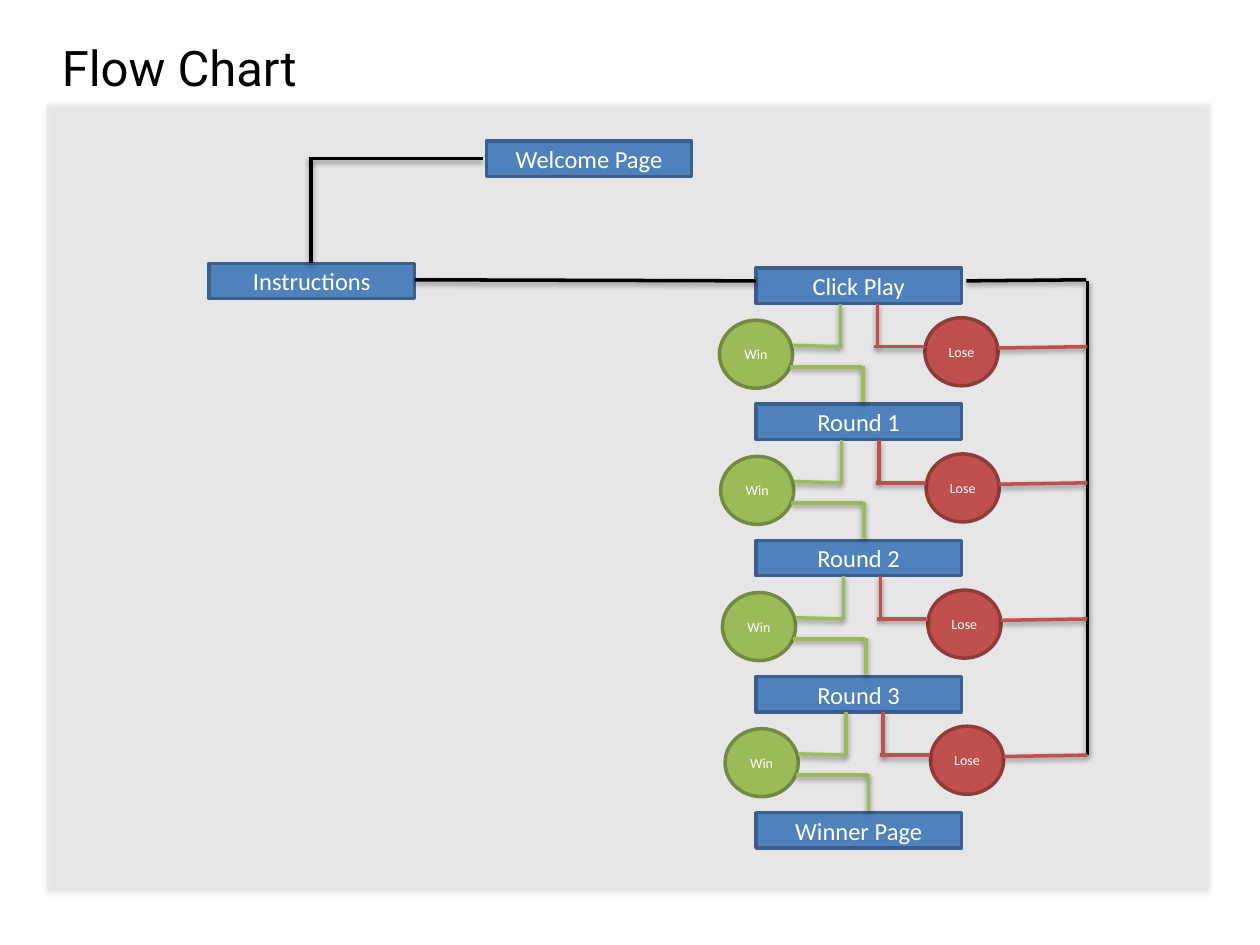
import pptx
import pptx.util
import pptx.dml.color
import pptx.enum.shapes
import pptx.enum.text
import pptx.oxml
import pptx.oxml.ns

Pt = pptx.util.Pt
SHAPE = pptx.enum.shapes.MSO_SHAPE
ALIGN = pptx.enum.text.PP_ALIGN
ANCHOR = pptx.enum.text.MSO_ANCHOR
qn = pptx.oxml.ns.qn

BLUE, GREEN, RED, BLACK = "4F81BD", "9BBB59", "C0504D", "000000"
EDGES = {BLUE: "3A5F8C", GREEN: "738A42", RED: "8E3B39"}
BOX_W, BOX_H = 117.4, 20.2
DISC_W, DISC_H = 41.8, 38.9


def rgb(value):
    return pptx.dml.color.RGBColor.from_string(value)


def write(shape, text, size=14, font="Calibri", color="FFFFFF",
          align=ALIGN.CENTER, anchor=ANCHOR.MIDDLE):
    frame = shape.text_frame
    frame.word_wrap = True
    frame.vertical_anchor = anchor
    par = frame.paragraphs[0]
    par.alignment = align
    run = par.add_run()
    run.text = text
    run.font.size = Pt(size)
    run.font.name = font
    run.font.color.rgb = rgb(color)


def shade(shape, alpha, dist):
    """Add a soft shadow below; call after fill and line are set."""
    shape._element.spPr.append(pptx.oxml.parse_xml(
        f'<a:effectLst {pptx.oxml.ns.nsdecls("a")}>'
        f'<a:outerShdw blurRad="{Pt(3.1)}" dist="{Pt(dist)}" dir="5400000" '
        f'rotWithShape="0"><a:srgbClr val="000000">'
        f'<a:alpha val="{alpha * 1000}"/></a:srgbClr>'
        f'</a:outerShdw></a:effectLst>'))


def node(slide, kind, box, text, color, size=14):
    shape = slide.shapes.add_shape(kind, *map(Pt, box))
    shape.shadow.inherit = False
    shape.fill.solid()
    shape.fill.fore_color.rgb = rgb(color)
    shape.line.color.rgb = rgb(EDGES[color])
    shape.line.width = Pt(2)
    write(shape, text, size=size)


def link(slide, color, x1, y1, x2, y2):
    line = slide.shapes.add_connector(
        pptx.enum.shapes.MSO_CONNECTOR.STRAIGHT, Pt(x1), Pt(y1), Pt(x2), Pt(y2))
    line.line.color.rgb = rgb(color)
    line.line.width = Pt(2)
    shade(line, 38, 1.6)


def header(slide, left, top, width, height):
    title = slide.shapes.title
    title.left, title.top = Pt(left), Pt(top)
    title.width, title.height = Pt(width), Pt(height)
    write(title, "Flow Chart", size=28, font="Roboto", color=BLACK,
          align=ALIGN.LEFT, anchor=ANCHOR.TOP)


def panel(slide, left, top, width, height):
    back = slide.shapes.add_shape(
        SHAPE.RECTANGLE, Pt(left), Pt(top), Pt(width), Pt(height))
    back.fill.solid()
    back.fill.fore_color.rgb = rgb("D9D9D9")
    tint = back._element.spPr.find(qn("a:solidFill")).find(qn("a:srgbClr"))
    tint.append(tint.makeelement(qn("a:alpha"), {"val": "23000"}))
    back.line.fill.background()
    shade(back, 35, 1.8)


def stage(slide, left, top, rail):
    """Win and lose discs with their links; left, top is the win disc."""
    for text, color, x, y in (("Win", GREEN, 0, 0), ("Lose", RED, 117.4, -1.4)):
        node(slide, SHAPE.OVAL, (left + x, top + y, DISC_W, DISC_H),
             text, color, size=8)
    for color, x1, y1, x2, y2 in (
            (GREEN, 69.1, -9.4, 69.1, 15.1),
            (RED, 90.4, -9.4, 90.4, 15.1),
            (GREEN, DISC_W, 14.4, 69.1, 15.1),
            (RED, 88.6, 15.1, 117.4, 15.1),
            (GREEN, 40.3, 26.6, 81.6, 26.6),
            (GREEN, 82, 25.9, 82, 46.8),
            (RED, 159.2, 15.9, rail - left, 15.1)):
        link(slide, color, left + x1, top + y1, left + x2, top + y2)


def chart(slide, left, top, width, height):
    def box(text, x, y):
        node(slide, SHAPE.RECTANGLE,
             (left + x, top + y, BOX_W, BOX_H), text, BLUE)

    col, first, step = 405.4, 94.2, 77.8
    rail = left + width - 70.5
    box("Welcome Page", 251.3, 21.6)
    box("Instructions", 92.9, 91.5)
    names = ("Click Play", "Round 1", "Round 2", "Round 3", "Winner Page")
    for i, name in enumerate(names):
        box(name, col, first + i * step)
    for x1, y1, x2, y2 in ((594.8, 101.5, 594.8, 372.3),
                           (col, 101.5, 210.3, 100.9),
                           (151.2, 31.7, 151.2, 91.5),
                           (249.2, 31.7, 149.8, 31.7),
                           (594.1, 100.9, 525.6, 101.5)):
        link(slide, BLACK, left + x1, top + y1, left + x2, top + y2)
    for i, drift in enumerate((0, 0.7, 1.7, 3.2)):
        stage(slide, left + 384.5 + drift, top + first + 29.8 + i * step, rail)


def main():
    deck = pptx.Presentation()
    deck.slide_width, deck.slide_height = Pt(720), Pt(540)
    slide = deck.slides.add_slide(deck.slide_layouts[5])
    area = (26.6, 59, 665.3, 450)
    panel(slide, *area)
    header(slide, 28.1, 18, 218.2, 41)
    chart(slide, *area)
    deck.save("out.pptx")


if __name__ == "__main__":
    main()
